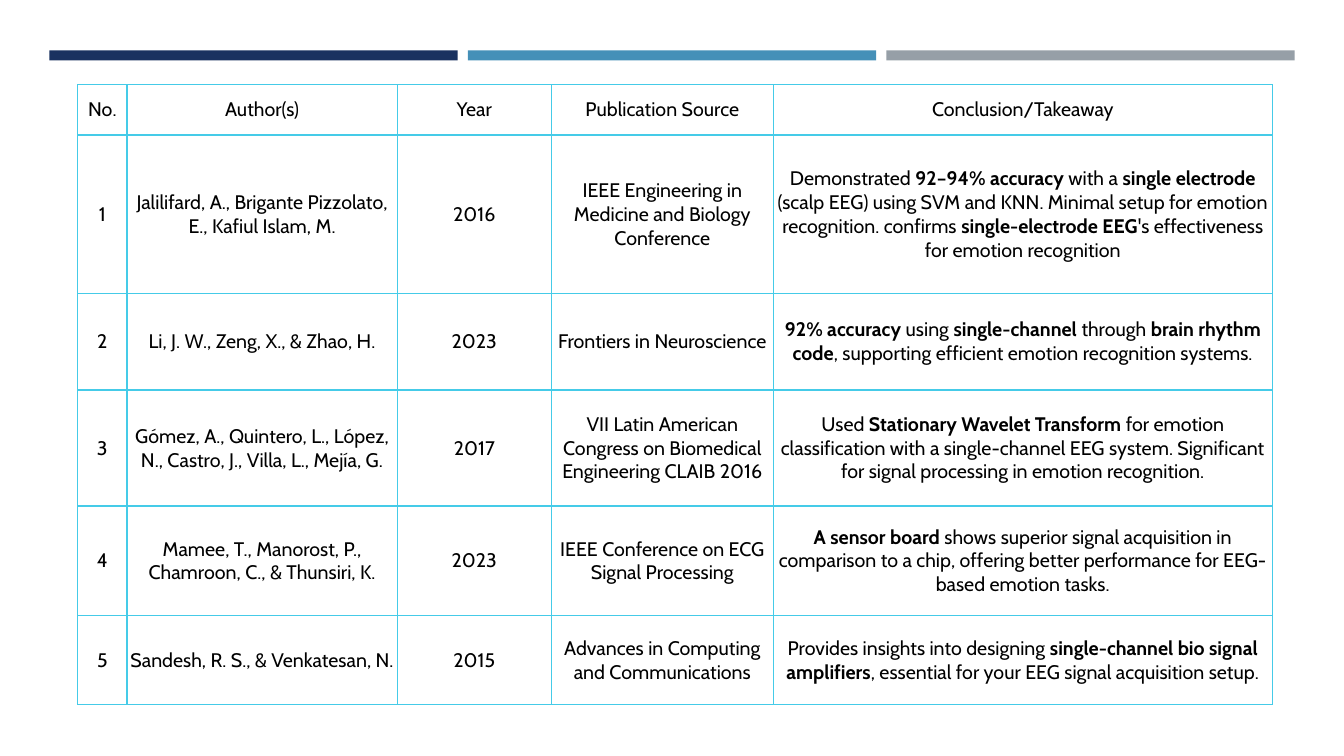
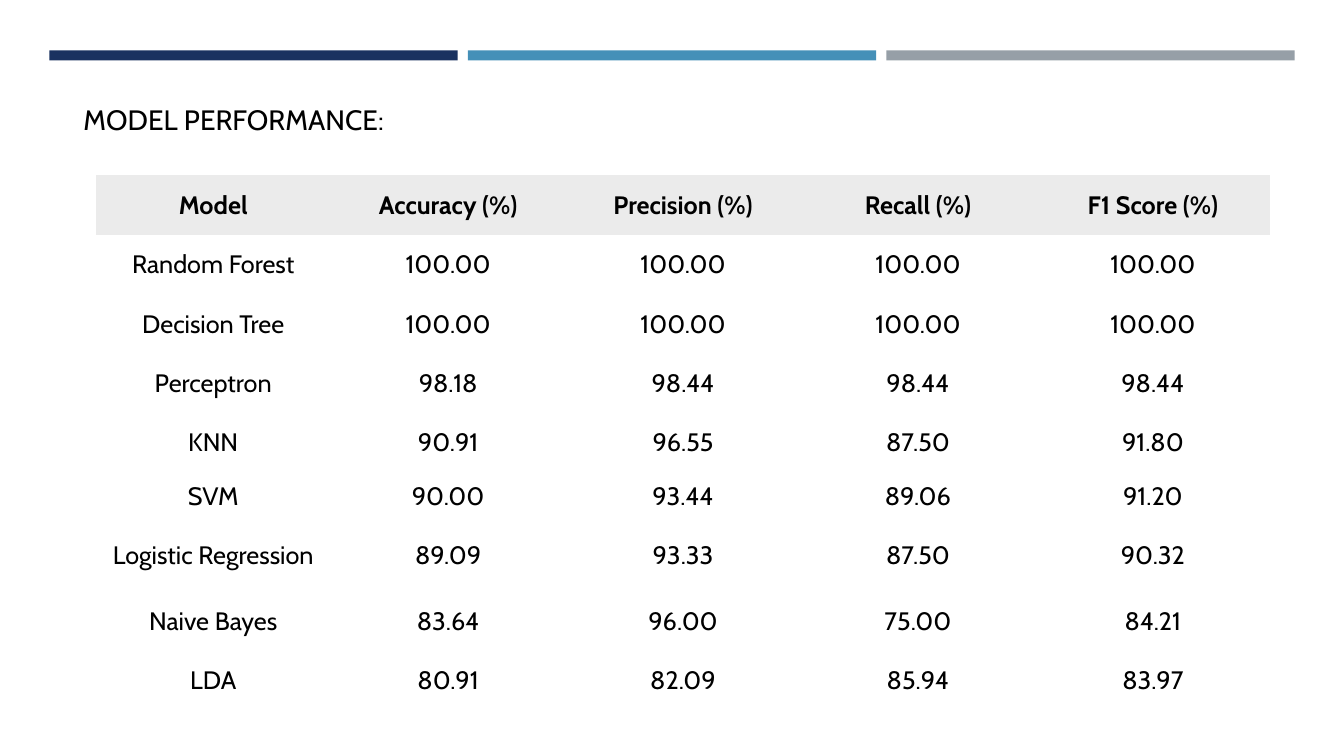
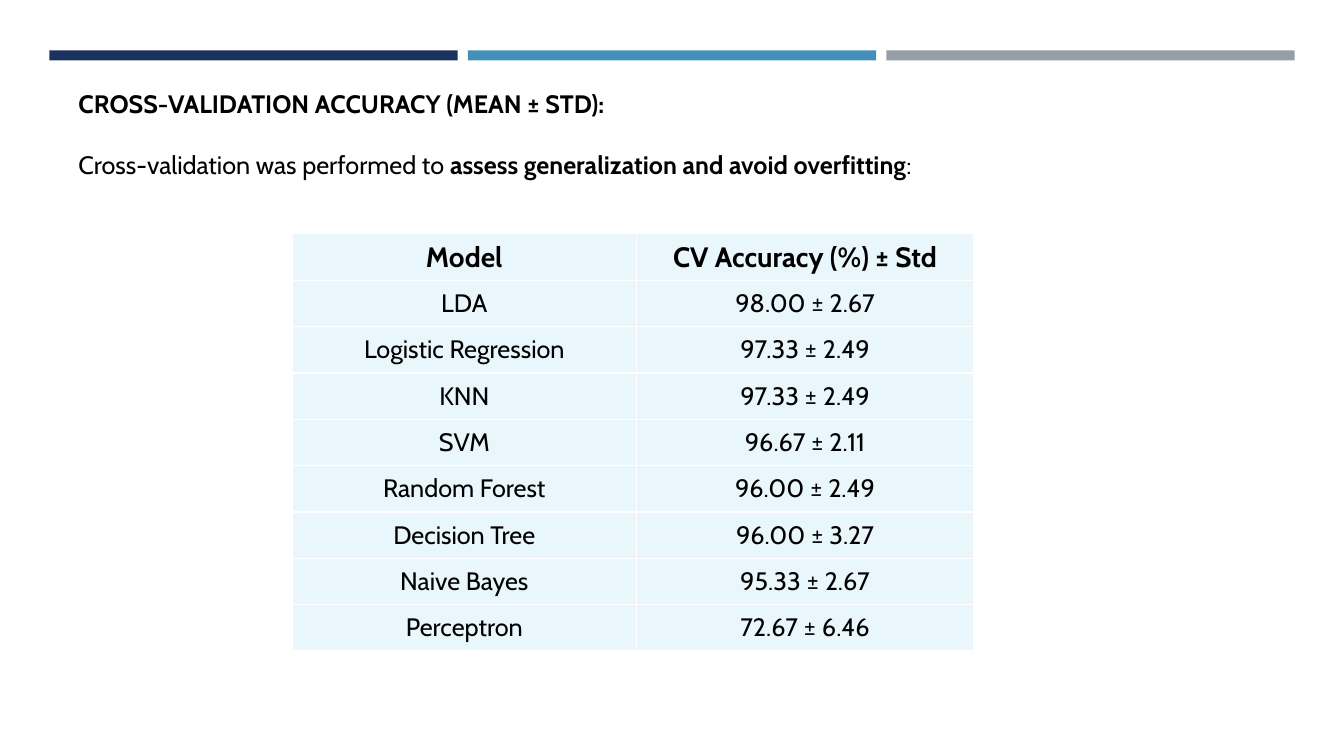
from lxml import etree
from pptx import Presentation
from pptx.dml.color import RGBColor
from pptx.enum.shapes import MSO_SHAPE
from pptx.enum.text import MSO_ANCHOR, PP_ALIGN
from pptx.oxml.ns import qn
from pptx.util import Inches, Pt

# Shared style
FONT = "Cabin"
COLORS = {
    "text": "000000", "navy": "1A3260", "blue": "4590B8", "gray": "969FA7",
    "grid": "45CBE8", "white": "FFFFFF", "header": "EBEBEB", "pale": "E9F6FB",
}
BANDS = ["navy", "blue", "gray"]
BAND_LEFT, BAND_TOP, BAND_WIDTH, BAND_HEIGHT, BAND_GAP = 0.49, 0.5, 4.05, 0.1, 0.1
NO_STYLE = "{2D5ABB26-0587-4C30-8999-92F81FD0307C}"

# Content: ** marks the start and end of bold text
STUDIES = [
    ("No.", "Author(s)", "Year", "Publication Source", "Conclusion/Takeaway"),
    ("1", "Jalilifard, A., Brigante Pizzolato, E., Kafiul Islam, M.", "2016",
     "IEEE Engineering in Medicine and Biology Conference",
     "Demonstrated **92–94% accuracy** with a **single electrode** (scalp EEG) using SVM "
     "and KNN. Minimal setup for emotion recognition. confirms **single-electrode EEG**'s "
     "effectiveness for emotion recognition"),
    ("2", "Li, J. W., Zeng, X., & Zhao, H.", "2023", "Frontiers in Neuroscience",
     "**92% accuracy** using **single-channel** through **brain rhythm code**, "
     "supporting efficient emotion recognition systems."),
    ("3", "Gómez, A., Quintero, L., López, N., Castro, J., Villa, L., Mejía, G.", "2017",
     "VII Latin American Congress on Biomedical Engineering CLAIB 2016",
     "Used **Stationary Wavelet Transform** for emotion classification with a "
     "single-channel EEG system. Significant for signal processing in emotion recognition."),
    ("4", "Mamee, T., Manorost, P., Chamroon, C., & Thunsiri, K.", "2023",
     "IEEE Conference on ECG Signal Processing",
     "**A sensor board** shows superior signal acquisition in comparison to a chip, "
     "offering better performance for EEG-based emotion tasks."),
    ("5", "Sandesh, R. S., & Venkatesan, N.", "2015",
     "Advances in Computing and Communications",
     "Provides insights into designing **single-channel bio signal amplifiers**, "
     "essential for your EEG signal acquisition setup."),
]
PERFORMANCE_TITLE = "MODEL PERFORMANCE:"
PERFORMANCE = [
    ("**Model**", "**Accuracy (%)**", "**Precision (%)**", "**Recall (%)**", "**F1 Score (%)**"),
    ("Random Forest", "100.00", "100.00", "100.00", "100.00"),
    ("Decision Tree", "100.00", "100.00", "100.00", "100.00"),
    ("Perceptron", "98.18", "98.44", "98.44", "98.44"),
    ("KNN", "90.91", "96.55", "87.50", "91.80"),
    ("SVM", "90.00", "93.44", "89.06", "91.20"),
    ("Logistic Regression", "89.09", "93.33", "87.50", "90.32"),
    ("Naive Bayes", "83.64", "96.00", "75.00", "84.21"),
    ("LDA", "80.91", "82.09", "85.94", "83.97"),
]
VALIDATION_TEXT = [
    "**CROSS-VALIDATION ACCURACY (MEAN ± STD):**",
    "Cross-validation was performed to **assess generalization and avoid overfitting**:",
]
VALIDATION = [
    ("**Model**", "**CV Accuracy (%) ± Std**"),
    ("LDA", "98.00 ± 2.67"),
    ("Logistic Regression", "97.33 ± 2.49"),
    ("KNN", "97.33 ± 2.49"),
    ("SVM", "96.67 ± 2.11"),
    ("Random Forest", "96.00 ± 2.49"),
    ("Decision Tree", "96.00 ± 3.27"),
    ("Naive Bayes", "95.33 ± 2.67"),
    ("Perceptron", "72.67 ± 6.46"),
]


def color(name):
    return RGBColor.from_string(COLORS[name])


def add_page(deck):
    page = deck.slides.add_slide(deck.slide_layouts[6])
    for index, name in enumerate(BANDS):
        left = BAND_LEFT + index * (BAND_WIDTH + BAND_GAP)
        band = page.shapes.add_shape(MSO_SHAPE.RECTANGLE, Inches(left), Inches(BAND_TOP),
                                     Inches(BAND_WIDTH), Inches(BAND_HEIGHT))
        band.shadow.inherit = False
        band.fill.solid()
        band.fill.fore_color.rgb = color(name)
        band.line.fill.background()
    return page


def write(para, text, size):
    for index, part in enumerate(text.split("**")):
        if part:
            span = para.add_run()
            span.text = part
            span.font.name = FONT
            span.font.size = Pt(size)
            span.font.bold = index % 2 == 1
            span.font.color.rgb = color("text")


def add_text(page, place, lines, size, gap=0):
    box = page.shapes.add_textbox(*map(Inches, place))
    frame = box.text_frame
    frame.word_wrap = True
    for index, line in enumerate(lines):
        para = frame.add_paragraph() if index else frame.paragraphs[0]
        if index:
            para.space_before = Pt(gap)
        write(para, line, size)


def add_borders(cell, name):
    props = cell._tc.get_or_add_tcPr()
    for side in ("lnL", "lnR", "lnT", "lnB"):
        line = etree.SubElement(props, qn(f"a:{side}"), w=str(Pt(1)))
        fill = etree.SubElement(line, qn("a:solidFill"))
        etree.SubElement(fill, qn("a:srgbClr"), val=COLORS[name])


def add_grid(page, left, top, rows, widths, heights, size, header_size=None,
             fill=None, header_fill=None, border=None, margins=(0.1, 0.05)):
    shape = page.shapes.add_table(len(rows), len(widths), Inches(left), Inches(top),
                                  Inches(sum(widths)), Inches(sum(heights)))
    table = shape.table
    table.first_row = table.horz_banding = False
    table._tbl.tblPr.find(qn("a:tableStyleId")).text = NO_STYLE
    for column, width in zip(table.columns, widths):
        column.width = Inches(width)
    for r, (row, height) in enumerate(zip(rows, heights)):
        table.rows[r].height = Inches(height)
        shade = fill if r else header_fill or fill
        for c, text in enumerate(row):
            cell = table.cell(r, c)
            cell.margin_left = cell.margin_right = Inches(margins[0])
            cell.margin_top = cell.margin_bottom = Inches(margins[1])
            cell.vertical_anchor = MSO_ANCHOR.MIDDLE
            if border:
                add_borders(cell, border)
            if shade:
                cell.fill.solid()
                cell.fill.fore_color.rgb = color(shade)
            else:
                cell.fill.background()
            para = cell.text_frame.paragraphs[0]
            para.alignment = PP_ALIGN.CENTER
            write(para, text, size if r else header_size or size)


def main():
    deck = Presentation()
    deck.slide_width, deck.slide_height = Inches(13.33), Inches(7.5)

    # Literature review
    page = add_page(deck)
    add_grid(page, 0.77, 0.84, STUDIES, [0.49, 2.68, 1.53, 2.2, 4.95],
             [0.5, 1.57, 0.96, 1.15, 1.09, 0.88], 14, border="grid", margins=(0.03, 0.01))

    # Model performance
    page = add_page(deck)
    add_grid(page, 0.95, 1.74, PERFORMANCE, [2.33] * 5,
             [0.59] * 5 + [0.47, 0.71] + [0.59] * 2, 18, header_fill="header")
    add_text(page, (0.73, 0.97, 5.94, 0.44), [PERFORMANCE_TITLE], 20)

    # Cross-validation
    page = add_page(deck)
    add_text(page, (0.68, 0.83, 10.88, 1.31), VALIDATION_TEXT, 18, gap=22)
    add_grid(page, 2.9, 2.32, VALIDATION, [3.41, 3.35], [0.46] * len(VALIDATION), 18,
             header_size=20, fill="pale", border="white")

    deck.save("out.pptx")


if __name__ == "__main__":
    main()
